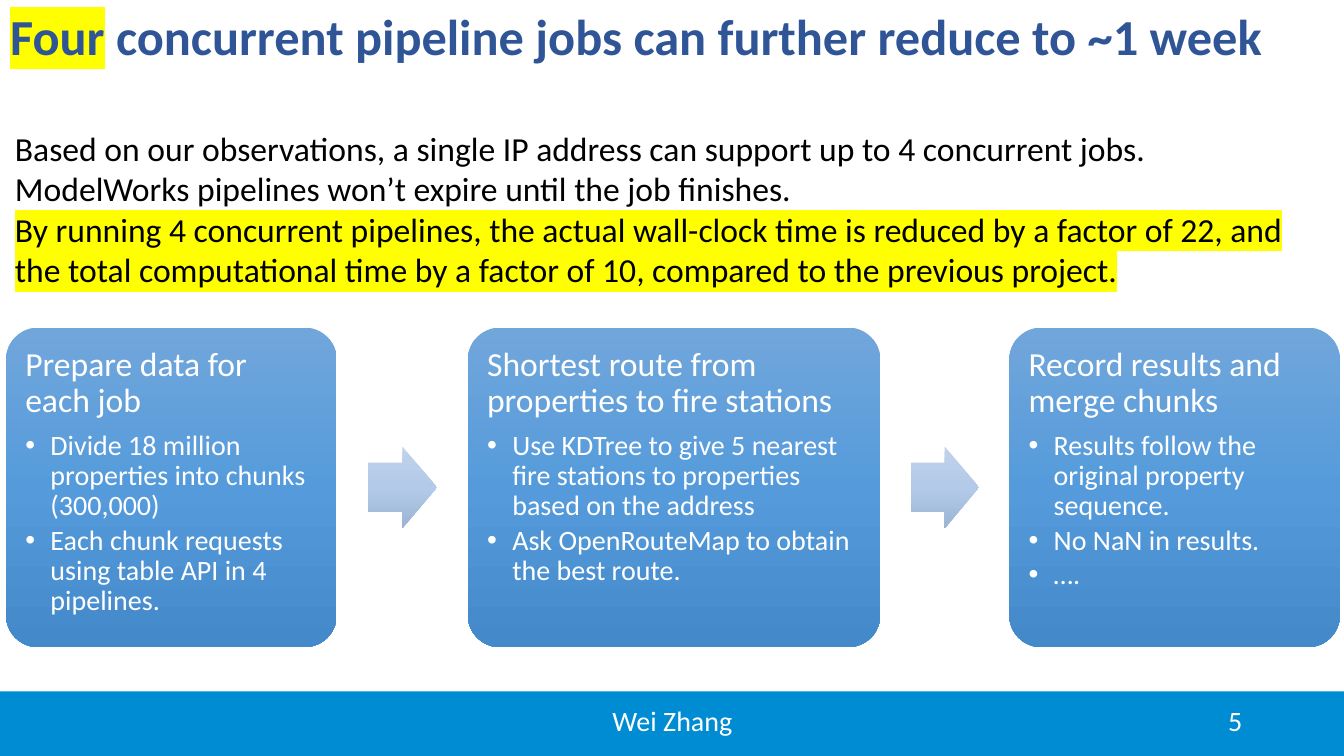
from copy import deepcopy

from pptx import Presentation
from pptx.dml.color import RGBColor
from pptx.enum.shapes import MSO_SHAPE
from pptx.enum.text import MSO_ANCHOR, PP_ALIGN
from pptx.oxml.ns import qn
from pptx.util import Inches, Pt
from lxml import etree

LEFT, CENTER, RIGHT = PP_ALIGN.LEFT, PP_ALIGN.CENTER, PP_ALIGN.RIGHT
TOP, MIDDLE = MSO_ANCHOR.TOP, MSO_ANCHOR.MIDDLE
RECTANGLE, CARD, ARROW = MSO_SHAPE.RECTANGLE, MSO_SHAPE.ROUNDED_RECTANGLE, MSO_SHAPE.RIGHT_ARROW

COLORS = {"title": "2F5597", "body": "000000", "light": "FFFFFF", "footer": "008CD3", "marker": "FFFF00"}
CARD_GRADIENT = ("71A6DB", "559BDB", "448ACA")
ARROW_GRADIENT = ("C0D2EB", "B3CBE9", "9BB4D3")

TITLE = [("Four", True), (" concurrent pipeline jobs can further reduce to ~1 week", False)]
SUMMARY = [
    ("Based on our observations, a single IP address can support up to 4 concurrent jobs. "
     "ModelWorks pipelines won’t expire until the job finishes.", False),
    ("By running 4 concurrent pipelines, the actual wall-clock time is reduced by a factor of 22, and "
     "the total computational time by a factor of 10, compared to the previous project.", True),
]
STEPS = [
    (0.06, 3.28, "Prepare data for each job", [
        "Divide 18 million properties into chunks (300,000)",
        "Each chunk requests using table API in 4 pipelines."]),
    (4.64, 4.09, "Shortest route from properties to fire stations", [
        "Use KDTree to give 5 nearest fire stations to properties based on the address",
        "Ask OpenRouteMap to obtain the best route."]),
    (10.01, 3.28, "Record results and merge chunks", [
        "Results follow the original property sequence.",
        "No NaN in results.",
        "…."]),
]
FOOTER = [("5", 9.42, 3, RIGHT), ("Wei Zhang", 4.42, 4.5, CENTER)]

CARD_TOP, CARD_HEIGHT = 3.25, 3.17
ARROW_HEIGHT, ARROW_SHARE = 0.81, 0.53

HEADING_FORMAT = {"alignment": LEFT, "line_spacing": 0.9, "space_after": Pt(8.4)}
BULLET_FORMAT = {"alignment": LEFT, "line_spacing": 0.9, "space_after": Pt(3)}


def apply(target, values):
    for name, value in values.items():
        setattr(target, name, value)


def add_run(paragraph, text, size, color, bold=False, marked=False):
    run = paragraph.add_run()
    run.text = text
    apply(run.font, {"size": Pt(size), "bold": bold, "name": "Calibri"})
    run.font.color.rgb = RGBColor.from_string(COLORS[color])
    if marked:
        highlight = etree.Element(qn("a:highlight"))
        etree.SubElement(highlight, qn("a:srgbClr"), val=COLORS["marker"])
        run.font._element.find(qn("a:solidFill")).addnext(highlight)


def next_paragraph(frame, values):
    first = frame.paragraphs[0]
    paragraph = frame.add_paragraph() if first.runs else first
    apply(paragraph, values)
    return paragraph


def add_bullet(paragraph):
    properties = paragraph._p.get_or_add_pPr()
    properties.set("marL", str(Inches(0.25)))
    properties.set("indent", str(Inches(-0.25)))
    etree.SubElement(properties, qn("a:buFont"), typeface="Arial")
    etree.SubElement(properties, qn("a:buChar"), char="•")


def add_plain_shape(kind, left, top, width, height):
    shape = slide.shapes.add_shape(kind, Inches(left), Inches(top), Inches(width), Inches(height))
    shape.shadow.inherit = False
    shape.line.fill.background()
    return shape


def fill_gradient(shape, colors):
    shape.fill.gradient()
    shape.fill.gradient_angle = 270
    stop_list = shape._element.spPr.find(qn("a:gradFill")).find(qn("a:gsLst"))
    stop_list.append(deepcopy(stop_list[0]))
    for index, (stop, color) in enumerate(zip(shape.fill.gradient_stops, colors)):
        stop.color.rgb = RGBColor.from_string(color)
        stop.position = index / 2


def add_text_box(left, top, width, height, anchor):
    box = slide.shapes.add_textbox(Inches(left), Inches(top), Inches(width), Inches(height))
    apply(box.text_frame, {"word_wrap": True, "vertical_anchor": anchor})
    return box.text_frame


presentation = Presentation()
presentation.slide_width, presentation.slide_height = Inches(13.33), Inches(7.5)
slide = presentation.slides.add_slide(presentation.slide_layouts[5])

title = slide.shapes.title
apply(title, {"left": 0, "top": 0, "width": Inches(13.29), "height": Inches(0.71)})
apply(title.text_frame, {"word_wrap": True, "vertical_anchor": TOP})
paragraph = next_paragraph(title.text_frame, {"alignment": LEFT, "line_spacing": 1.0})
for text, marked in TITLE:
    add_run(paragraph, text, 36, "title", True, marked)

footer_bar = add_plain_shape(RECTANGLE, 0, 6.86, 13.33, 0.64)
footer_bar.fill.solid()
footer_bar.fill.fore_color.rgb = RGBColor.from_string(COLORS["footer"])
for text, left, width, alignment in FOOTER:
    frame = add_text_box(left, 6.95, width, 0.4, MIDDLE)
    add_run(next_paragraph(frame, {"alignment": alignment}), text, 20, "light")

for left, width, heading, bullets in STEPS:
    card = add_plain_shape(CARD, left, CARD_TOP, width, CARD_HEIGHT)
    card.adjustments[0] = 0.1
    fill_gradient(card, CARD_GRADIENT)
    frame = card.text_frame
    apply(frame, {"word_wrap": True, "vertical_anchor": TOP})
    apply(frame, {f"margin_{side}": Inches(0.1) for side in ("left", "top", "right", "bottom")})
    add_run(next_paragraph(frame, HEADING_FORMAT), heading, 24, "light")
    for text in bullets:
        paragraph = next_paragraph(frame, BULLET_FORMAT)
        add_bullet(paragraph)
        add_run(paragraph, text, 20, "light")

for (left, width, *_), (next_left, *_) in zip(STEPS, STEPS[1:]):
    gap = next_left - left - width
    arrow_left = left + width + gap * (1 - ARROW_SHARE) / 2
    arrow_top = CARD_TOP + (CARD_HEIGHT - ARROW_HEIGHT) / 2
    arrow = add_plain_shape(ARROW, arrow_left, arrow_top, gap * ARROW_SHARE, ARROW_HEIGHT)
    arrow.adjustments[0], arrow.adjustments[1] = 0.6, 0.5
    fill_gradient(arrow, ARROW_GRADIENT)

frame = add_text_box(0.05, 1.22, 12.82, 1.72, TOP)
for text, marked in SUMMARY:
    add_run(next_paragraph(frame, {"alignment": LEFT}), text, 24, "body", False, marked)

presentation.save("out.pptx")
